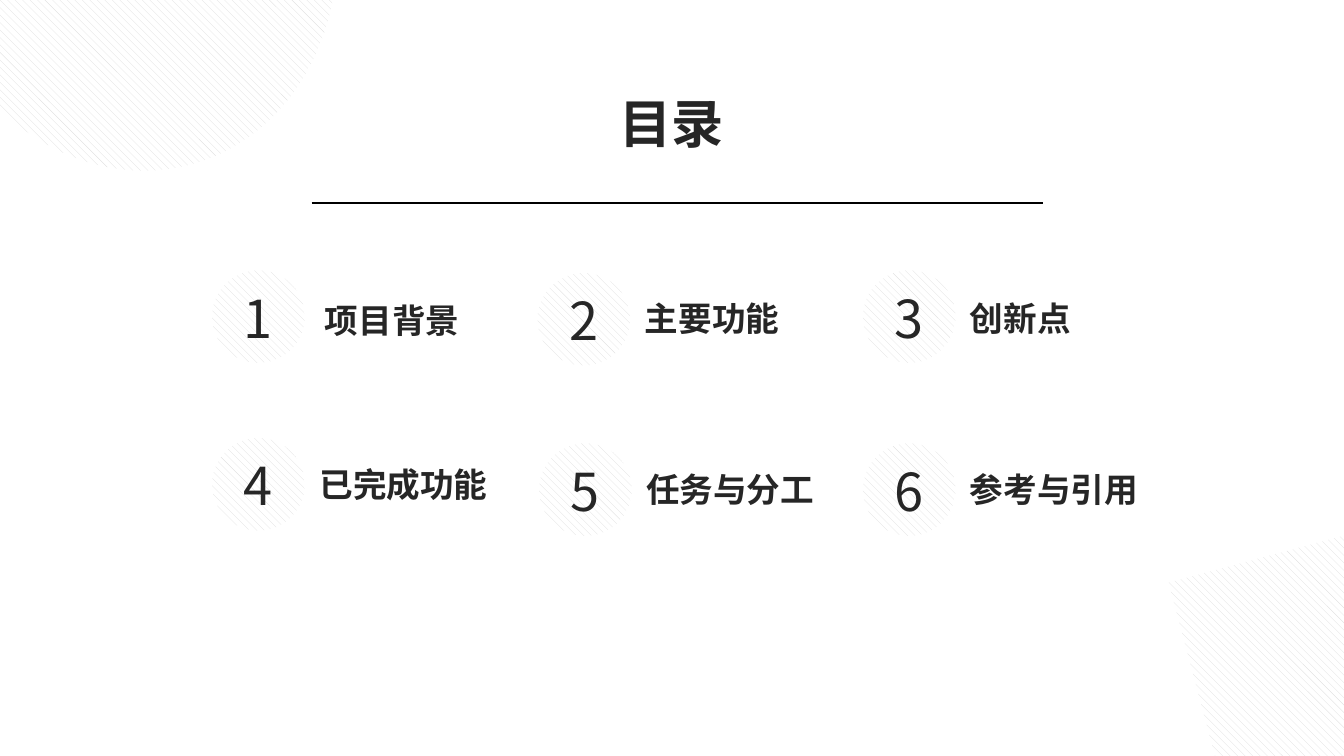
from pptx import Presentation
from pptx.dml.color import RGBColor
from pptx.enum.dml import MSO_PATTERN
from pptx.enum.shapes import MSO_CONNECTOR, MSO_SHAPE
from pptx.enum.text import MSO_ANCHOR, MSO_AUTO_SIZE, PP_ALIGN
from pptx.oxml.ns import qn
from pptx.util import Cm, Pt
from lxml.etree import SubElement

FONT = "Noto Sans CJK SC"
INK = "262626"
HEADING = {"size": Pt(28), "bold": True, "name": FONT}
NUMBER = {"size": Pt(28), "bold": False, "name": FONT}
LABEL = {"size": Pt(18), "bold": True, "name": FONT}
CIRCLE = 1.75
ENTRIES = [
    ("项目背景", (4.01, 5.11), (5.89, 5.54)),
    ("主要功能", (10.16, 5.16), (11.94, 5.51)),
    ("创新点", (16.31, 5.11), (18.08, 5.51)),
    ("已完成功能", (4.01, 8.28), (5.79, 8.64)),
    ("任务与分工", (10.19, 8.38), (11.96, 8.74)),
    ("参考与引用", (16.31, 8.38), (18.08, 8.74)),
]


def color(value):
    """Turn a hex string into a colour."""
    return RGBColor.from_string(value)


def write(shape, text, style, align, wrap=False):
    """Fill a text shape with one formatted paragraph."""
    frame = shape.text_frame
    frame.word_wrap = wrap
    frame.auto_size = MSO_AUTO_SIZE.SHAPE_TO_FIT_TEXT
    frame.vertical_anchor = MSO_ANCHOR.TOP
    paragraph = frame.paragraphs[0]
    paragraph.alignment = align
    run = paragraph.add_run()
    run.text = text
    for name, value in style.items():
        setattr(run.font, name, value)
    run.font.color.rgb = color(INK)
    SubElement(run.font._element, qn("a:ea")).set("typeface", FONT)


def add_hatched(shapes, kind, box, rotation=0):
    """Add a shape with a light diagonal hatch."""
    shape = shapes.add_shape(kind, *map(Cm, box))
    shape.shadow.inherit = False
    shape.rotation = rotation
    shape.line.fill.background()
    shape.fill.patterned()
    shape.fill.pattern = MSO_PATTERN.WIDE_DOWNWARD_DIAGONAL
    shape.fill.fore_color.rgb = color("DDDDDD")
    shape.fill.back_color.rgb = color("FFFFFF")


def add_heading(slide, left, top, width, height):
    """Place the title and the rule beneath it."""
    title = slide.shapes.title
    box = {"left": left, "top": top, "width": width, "height": height}
    for name, value in box.items():
        setattr(title, name, Cm(value))
    write(title, "目录", HEADING, PP_ALIGN.CENTER, wrap=True)
    rule_top = Cm(top + 2.24)
    rule = slide.shapes.add_connector(
        MSO_CONNECTOR.STRAIGHT, Cm(5.89), rule_top, Cm(19.71), rule_top)
    rule.line.color.rgb = color("000000")
    rule.line.width = Pt(1)
    SubElement(rule._element.spPr, qn("a:effectLst"))


def add_entry(slide, number, text, circle_at, label_at):
    """Place one numbered circle and its label."""
    left, top = circle_at
    badge = slide.shapes.add_group_shape().shapes
    add_hatched(badge, MSO_SHAPE.OVAL, (left, top, CIRCLE, CIRCLE))
    digit_width = 1.07
    digit = badge.add_textbox(
        Cm(left + (CIRCLE - digit_width) / 2), Cm(top + 0.17), Cm(digit_width), Cm(1.45))
    write(digit, str(number), NUMBER, PP_ALIGN.CENTER)
    label = slide.shapes.add_textbox(
        *map(Cm, label_at), Cm(0.51 + 0.64 * len(text)), Cm(1.02))
    write(label, text, LABEL, PP_ALIGN.LEFT)


def add_corners(slide, width, height):
    """Place the hatched decorations in two opposite corners."""
    size = (9.07, 7.82)
    add_hatched(slide.shapes, MSO_SHAPE.RIGHT_TRIANGLE,
                (width - 2.9, height - 3.82, *size), 75)
    add_hatched(slide.shapes, MSO_SHAPE.OVAL, (-2.11, -5.18, *size), 75)


def main():
    """Build the contents slide."""
    width, height = 25.4, 14.29
    presentation = Presentation()
    presentation.slide_width = Cm(width)
    presentation.slide_height = Cm(height)
    slide = presentation.slides.add_slide(presentation.slide_layouts[5])
    add_heading(slide, 8.61, 1.6, 8.18, 1.45)
    for number, entry in enumerate(ENTRIES, 1):
        add_entry(slide, number, *entry)
    add_corners(slide, width, height)
    presentation.save("out.pptx")


if __name__ == "__main__":
    main()
